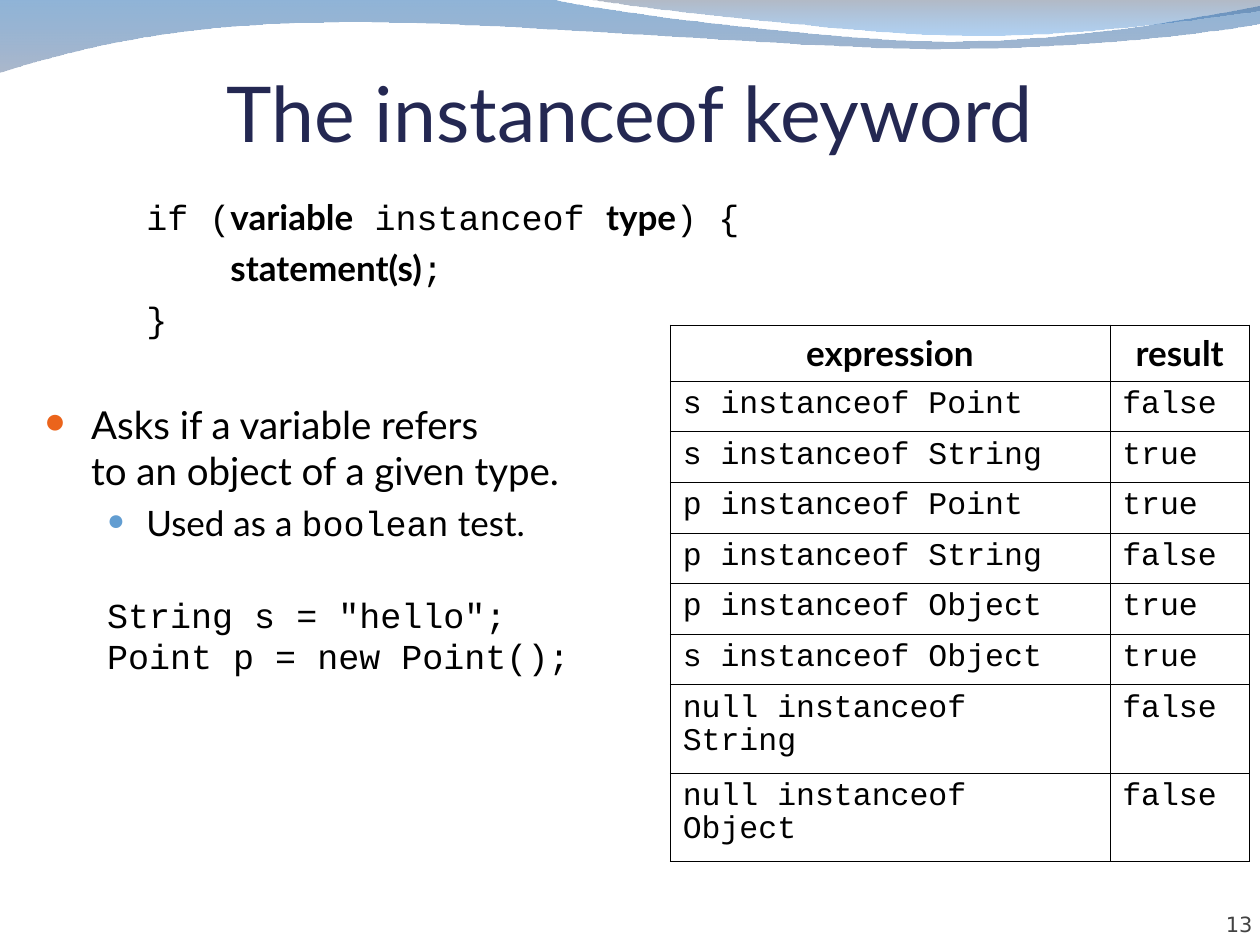
from lxml.etree import SubElement
from pptx import Presentation
from pptx.dml.color import RGBColor
from pptx.enum.text import MSO_ANCHOR, MSO_AUTO_SIZE, PP_ALIGN
from pptx.oxml.ns import qn
from pptx.util import Cm, Pt

COLORS = {"text": "000000", "title": "242852", "number": "424242",
          "bullet": "EB641B", "sub_bullet": "629DD1"}
SANS, MONO = "Lato", "Courier New"

TITLE = "The instanceof keyword"
NUMBER = "13"

# Paragraph styles: left margin and hanging indent in cm, size in points
STYLES = {
    "syntax": {"margin": 2.06, "hang": 0, "size": 20},
    "point": {"margin": 0.95, "hang": 0.95, "size": 22, "bullet": ("bullet", 95)},
    "subpoint": {"margin": 2.06, "hang": 0.79, "size": 20, "bullet": ("sub_bullet", 85)},
    "example": {"margin": 1.27, "hang": 0, "size": 20, "line": 0.8},
}
# Style, space before in points, spans of (text, font, bold)
BODY = [
    ("syntax", 0, [("if (", MONO, False), ("variable", SANS, True),
                   (" instanceof ", MONO, False), ("type", SANS, True),
                   (") {", MONO, False)]),
    ("syntax", 5.1, [("    ", MONO, False), ("statement(s)", SANS, True),
                     (";", MONO, False)]),
    ("syntax", 5.1, [("}", MONO, False)]),
    ("point", 35.2, [("Asks if a variable refers\nto an object of a given type.", SANS, False)]),
    ("subpoint", 5.1, [("Used as a ", SANS, False), ("boolean", MONO, False),
                       (" test.", SANS, False)]),
    ("example", 33, [('String s = "hello";', MONO, False)]),
    ("example", 4.1, [("Point p = new Point();", MONO, False)]),
]

ROWS = [
    ("expression", "result"),
    ("s instanceof Point", "false"),
    ("s instanceof String", "true"),
    ("p instanceof Point", "true"),
    ("p instanceof String", "false"),
    ("p instanceof Object", "true"),
    ("s instanceof Object", "true"),
    ("null instanceof String", "false"),
    ("null instanceof Object", "false"),
]
COLUMN_WIDTHS = [8.86, 2.82]
ROW_HEIGHTS = [1.13] + [1.02] * 6 + [1.78] * 2

# Waves in cm: one point is a line, three points are a Bezier curve
WAVES = [
    {"start": (0, 0),
     "steps": [[(11.18, 0)],
               [(12.09, 0.23), (16.84, 0.84), (19.25, 0.84)],
               [(21.67, 0.84), (24.33, 0.33), (25.4, 0.13)],
               [(25.43, 0.48)],
               [(24.97, 0.58), (22.1, 0.99), (18.95, 0.99)],
               [(15.8, 0.99), (9.7, 0.38), (6.53, 0.46)],
               [(3.28, 0.48), (1.17, 1.09), (-0.03, 1.47)]],
     "stops": [("0E5CA9", 46), ("687FA3", 56)]},
    {"start": (11.86, 0),
     "steps": [[(12.65, 0.13), (17.12, 0.66), (19.38, 0.71)],
               [(21.64, 0.76), (24.38, 0.36), (25.4, 0.23)],
               [(25.4, 0)]],
     "stops": [("576680", 46), ("046FDA", 31)]},
]


def style_font(font, name, size, color="text", bold=False):
    font.name, font.size, font.bold = name, Pt(size), bold
    font.color.rgb = RGBColor.from_string(COLORS[color])


def bend_segments(shape, steps):
    """Join every three line segments that stand for a curve into one."""
    segments = iter(list(shape._element.iter(qn("a:lnTo"))))
    for step in steps:
        group = [next(segments) for _ in step]
        if len(group) == 3:
            group[0].tag = qn("a:cubicBezTo")
            for extra in group[1:]:
                group[0].append(extra[0])
                extra.getparent().remove(extra)


def add_wave(page, wave):
    points = [(Cm(x), Cm(y)) for step in wave["steps"] for x, y in step]
    start_x, start_y = wave["start"]
    builder = page.shapes.build_freeform(Cm(start_x), Cm(start_y))
    builder.add_line_segments(points, close=True)
    shape = builder.convert_to_shape()
    bend_segments(shape, wave["steps"])
    shape.shadow.inherit = False
    shape.line.fill.background()
    shape.fill.gradient()
    shape.fill.gradient_angle = 270
    for stop, (color, _) in zip(shape.fill.gradient_stops, wave["stops"]):
        stop.color.rgb = RGBColor.from_string(color)
    fill_colors = shape._element.spPr.iter(qn("a:srgbClr"))
    for node, (_, opacity) in zip(list(fill_colors), wave["stops"]):
        SubElement(node, qn("a:alpha"), val=str(opacity * 1000))


def add_bullet(properties, color, percent):
    holder = SubElement(properties, qn("a:buClr"))
    SubElement(holder, qn("a:srgbClr"), val=COLORS[color])
    SubElement(properties, qn("a:buSzPct"), val=str(percent * 1000))
    SubElement(properties, qn("a:buFont"), typeface=MONO)
    SubElement(properties, qn("a:buChar"), char="●")


def fill_paragraph(paragraph, style, space, spans):
    properties = paragraph._p.get_or_add_pPr()
    properties.set("marL", str(Cm(style["margin"])))
    properties.set("indent", str(-Cm(style["hang"])))
    if "bullet" in style:
        add_bullet(properties, *style["bullet"])
    paragraph.space_before = Pt(space)
    paragraph.line_spacing = style.get("line", 1.0)
    for text, font, bold in spans:
        for index, line in enumerate(text.split("\n")):
            if index:
                paragraph.add_line_break()
            span = paragraph.add_run()
            span.text = line
            style_font(span.font, font, style["size"], bold=bold)


def set_borders(cell, outer_sides):
    properties = cell._tc.get_or_add_tcPr()
    for side in "LRTB":
        width = 0.5 if side in outer_sides else 0.25
        line = SubElement(properties, qn(f"a:ln{side}"), w=str(Pt(width)))
        fill = SubElement(line, qn("a:solidFill"))
        SubElement(fill, qn("a:srgbClr"), val=COLORS["text"])


def add_results(page):
    frame = page.shapes.add_table(len(ROWS), len(COLUMN_WIDTHS), Cm(13.51), Cm(6.55),
                                  Cm(sum(COLUMN_WIDTHS)), Cm(sum(ROW_HEIGHTS)))
    table = frame.table
    for column, width in zip(table.columns, COLUMN_WIDTHS):
        column.width = Cm(width)
    for r, (row, height) in enumerate(zip(ROWS, ROW_HEIGHTS)):
        table.rows[r].height = Cm(height)
        for c, text in enumerate(row):
            cell = table.cell(r, c)
            header = r == 0
            cell.text_frame.text = text
            paragraph = cell.text_frame.paragraphs[0]
            paragraph.alignment = PP_ALIGN.CENTER if header else PP_ALIGN.LEFT
            paragraph.line_spacing = 1.01 if header else 0.94
            style_font(paragraph.runs[0].font, SANS if header else MONO,
                       20 if header else 18, bold=header)
            outer = ("L" if c == 0 else "R") + ("T" if header else "")
            set_borders(cell, outer + ("B" if r == len(ROWS) - 1 else ""))
            cell.fill.background()


def format_line(box, text, align, font, size, color, top_inset=0):
    frame = box.text_frame
    frame.text = text
    frame.word_wrap = True
    frame.auto_size = MSO_AUTO_SIZE.NONE
    frame.vertical_anchor = MSO_ANCHOR.BOTTOM
    frame.margin_left = frame.margin_right = frame.margin_bottom = 0
    frame.margin_top = Cm(top_inset)
    paragraph = frame.paragraphs[0]
    paragraph.alignment = align
    style_font(paragraph.runs[0].font, font, size, color)


def main():
    deck = Presentation()
    deck.slide_width, deck.slide_height = Cm(25.4), Cm(19.05)
    page = deck.slides.add_slide(deck.slide_layouts[5])

    for wave in WAVES:
        add_wave(page, wave)

    # Title and page number
    title = page.shapes.title
    title.left, title.top, title.width, title.height = Cm(1.27), Cm(1.22), Cm(22.86), Cm(1.96)
    format_line(title, TITLE, PP_ALIGN.CENTER, SANS, 44, "title", 0.13)
    number = page.shapes.add_textbox(Cm(23.14), Cm(17.86), Cm(2.11), Cm(1.02))
    format_line(number, NUMBER, PP_ALIGN.RIGHT, "DejaVu Sans", 12, "number")

    # Syntax, explanation and example
    body = page.shapes.add_textbox(Cm(0.64), Cm(3.81), Cm(24.77), Cm(14.4)).text_frame
    body.word_wrap = True
    for index, (style, space, spans) in enumerate(BODY):
        paragraph = body.add_paragraph() if index else body.paragraphs[0]
        fill_paragraph(paragraph, STYLES[style], space, spans)

    add_results(page)
    deck.save("out.pptx")


if __name__ == "__main__":
    main()
